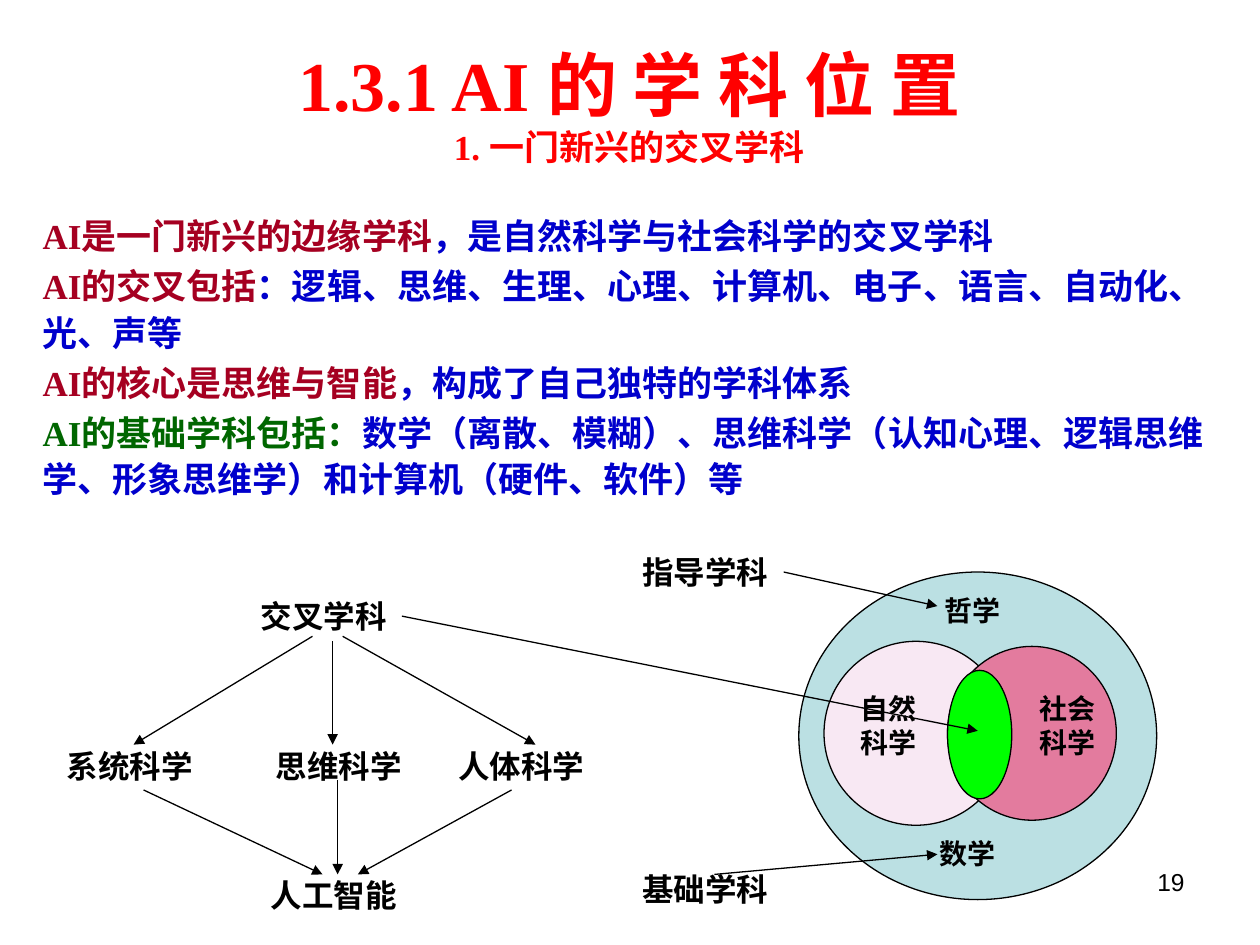
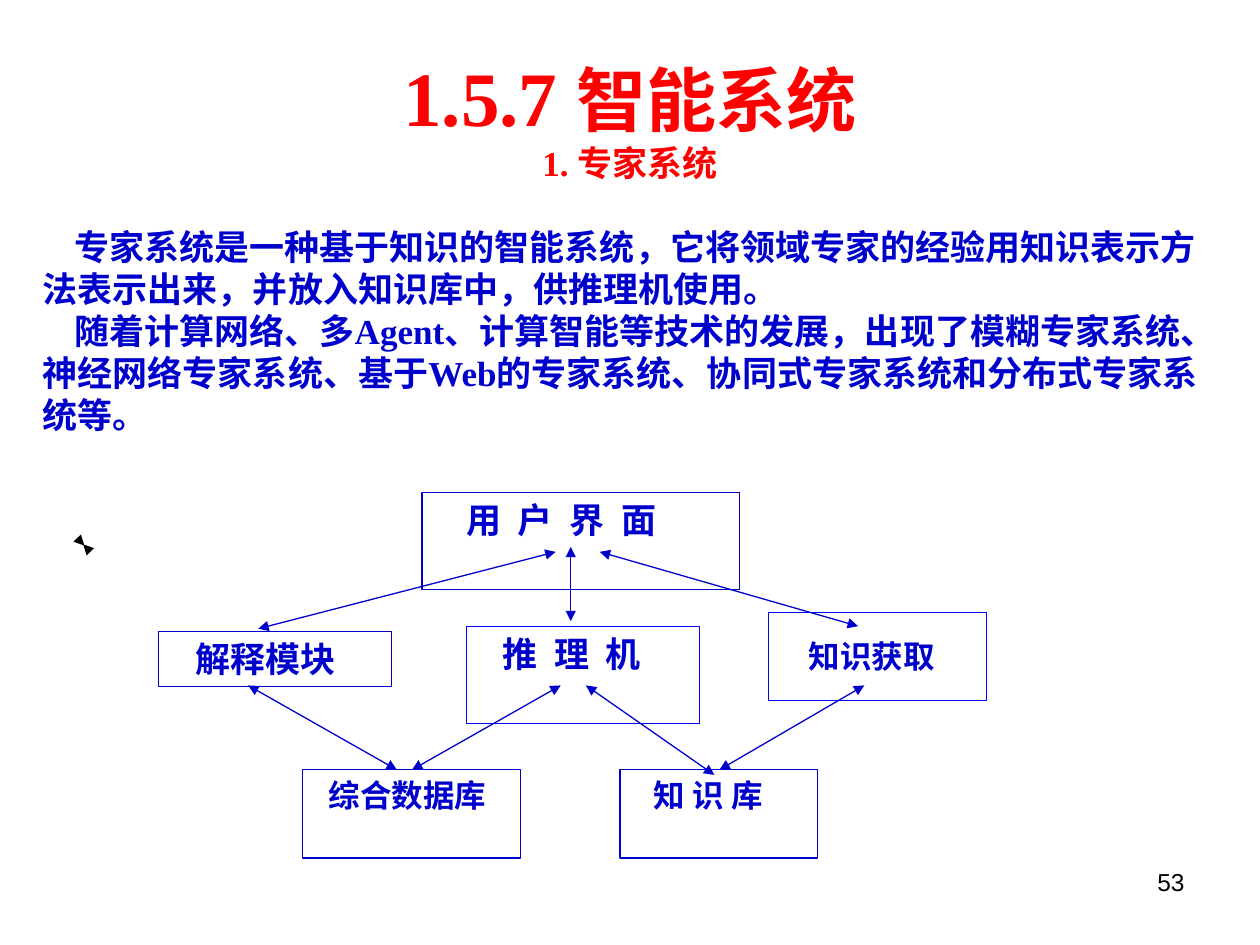
from typing import NamedTuple

from lxml.etree import SubElement
from pptx import Presentation
from pptx.dml.color import RGBColor
from pptx.enum.shapes import MSO_CONNECTOR, MSO_SHAPE
from pptx.enum.text import MSO_ANCHOR, PP_ALIGN
from pptx.oxml.ns import qn
from pptx.util import Inches, Pt

BLACK, WHITE, RED = "000000", "FFFFFF", "FF0000"
NAVY, BLUE, CRIMSON, GREEN = "0000CC", "0000FF", "A50021", "006600"
SERIF, SANS = "Times New Roman", "Arial"
LINE_WIDTH = Pt(0.75)


class Span(NamedTuple):
    """Text that has its own colour or size within a paragraph."""
    text: str
    color: str = NAVY
    size: float | None = None


class Box(NamedTuple):
    left: float
    top: float
    width: float
    height: float


class Label(NamedTuple):
    text: str
    box: Box
    size: float = 18
    inset: tuple[float, float] = (0.1, 0.05)


class Disc(NamedTuple):
    box: Box
    fill: str


class Module(NamedTuple):
    text: str
    box: Box
    indent: float
    size: float = 20
    spacing: float = 0
    line: str = NAVY
    anchor: MSO_ANCHOR = MSO_ANCHOR.TOP


class Arrow(NamedTuple):
    x1: float
    y1: float
    x2: float
    y2: float
    color: str = NAVY


def rgb(value: str) -> RGBColor:
    return RGBColor.from_string(value)


def place(box: Box) -> list[int]:
    return [Inches(v) for v in box]


def style(font, name: str, size: float, color: str | None = None, bold: bool = True) -> None:
    font.name, font.size, font.bold = name, Pt(size), bold
    if color:
        font.color.rgb = rgb(color)


def set_frame(tf, inset: tuple[float, float] = (0.1, 0.05), anchor=MSO_ANCHOR.TOP) -> None:
    tf.word_wrap = True
    tf.vertical_anchor = anchor
    tf.margin_left = tf.margin_right = Inches(inset[0])
    tf.margin_top = tf.margin_bottom = Inches(inset[1])


def add_text_frame(s, box: Box, inset=(0.1, 0.05), anchor=MSO_ANCHOR.TOP):
    tf = s.shapes.add_textbox(*place(box)).text_frame
    set_frame(tf, inset, anchor)
    return tf


def add_spans(p, spans: list[Span]) -> None:
    for span in spans:
        r = p.add_run()
        r.text = span.text
        r.font.color.rgb = rgb(span.color)
        if span.size:
            r.font.size = Pt(span.size)


def add_label(s, label: Label) -> None:
    p = add_text_frame(s, label.box, label.inset).paragraphs[0]
    p.text = label.text
    style(p.font, SANS, label.size, BLACK)


def add_title(s, box: Box, heading: list[Span], subtitle: str) -> None:
    p = add_text_frame(s, box, anchor=MSO_ANCHOR.MIDDLE).paragraphs[0]
    p.alignment = PP_ALIGN.CENTER
    style(p.font, SERIF, 20)
    add_spans(p, heading)
    p.add_line_break()
    add_spans(p, [Span(subtitle, RED, 20)])


def add_page_number(s, number: int) -> None:
    p = add_text_frame(s, Box(7.17, 6.83, 2.33, 0.52)).paragraphs[0]
    p.text = str(number)
    p.alignment = PP_ALIGN.RIGHT
    style(p.font, SANS, 14, BLACK, bold=False)


def add_body(s, box: Box, paragraphs: list[list[Span]], first_indent: float = 0,
             line_spacing: float = 1, gap: float = 0) -> None:
    tf = add_text_frame(s, box)
    for i, spans in enumerate(paragraphs):
        p = tf.add_paragraph() if i else tf.paragraphs[0]
        if first_indent:
            p._p.get_or_add_pPr().set("indent", str(Inches(first_indent)))
        p.line_spacing = line_spacing
        p.space_before = Pt(gap if i else 0)
        p.space_after = Pt(gap)
        style(p.font, SERIF, 20)
        add_spans(p, spans)


def add_outlined(s, kind: MSO_SHAPE, box: Box, fill: str, line: str):
    sp = s.shapes.add_shape(kind, *place(box))
    sp.shadow.inherit = False
    sp.fill.solid()
    sp.fill.fore_color.rgb = rgb(fill)
    sp.line.color.rgb = rgb(line)
    sp.line.width = LINE_WIDTH
    return sp


def add_module(s, module: Module) -> None:
    sp = add_outlined(s, MSO_SHAPE.RECTANGLE, module.box, WHITE, module.line)
    tf = sp.text_frame
    set_frame(tf, anchor=module.anchor)
    p = tf.paragraphs[0]
    p.alignment = PP_ALIGN.LEFT
    p._p.get_or_add_pPr().set("marL", str(Inches(module.indent)))
    r = p.add_run()
    r.text = module.text
    style(p.font, SERIF, module.size, module.color if hasattr(module, "color") else NAVY)
    if module.spacing:
        r._r.get_or_add_rPr().set("spc", str(int(module.spacing * 100)))


def add_arrow(s, arrow: Arrow, both_ends: bool = False) -> None:
    ends = [Inches(v) for v in arrow[:4]]
    cxn = s.shapes.add_connector(MSO_CONNECTOR.STRAIGHT, *ends)
    cxn.line.color.rgb = rgb(arrow.color)
    cxn.line.width = LINE_WIDTH
    ln = cxn.line._get_or_add_ln()
    for end in ("a:headEnd", "a:tailEnd") if both_ends else ("a:tailEnd",):
        SubElement(ln, qn(end), type="triangle")
    SubElement(cxn._element.spPr, qn("a:effectLst"))


def build_discipline_slide(prs) -> None:
    s = prs.slides.add_slide(prs.slide_layouts[6])
    add_page_number(s, 19)
    add_title(s, Box(0.31, 0.32, 9.37, 1.02),
              [Span("1.3.1 AI 的 学 科 位 置", RED, 40)], "1. 一门新兴的交叉学科")

    discs = [
        Disc(Box(6.34, 4.54, 2.84, 2.6), "BBE0E3"),
        Disc(Box(6.54, 5.09, 1.46, 1.46), "F8E8F3"),
        Disc(Box(7.52, 5.13, 1.34, 1.38), "E37B9E"),
        Disc(Box(7.52, 5.32, 0.51, 1.02), "00FF00"),
    ]
    for disc in discs:
        add_outlined(s, MSO_SHAPE.OVAL, disc.box, disc.fill, BLACK)

    tight = (0.02, 0.01)
    labels = [
        Label("自然科学", Box(6.81, 5.48, 0.55, 0.56), 16, tight),
        Label("社会科学", Box(8.23, 5.48, 0.55, 0.56), 16, tight),
        Label("哲学", Box(7.4, 4.66, 0.79, 0.37), 16),
        Label("数学", Box(7.36, 6.59, 0.71, 0.37), 16),
        Label("交叉学科", Box(1.97, 4.69, 1.3, 0.4)),
        Label("系统科学", Box(0.43, 5.88, 1.22, 0.4)),
        Label("思维科学", Box(2.09, 5.88, 1.3, 0.4)),
        Label("人体科学", Box(3.54, 5.88, 1.3, 0.4)),
        Label("人工智能", Box(2.05, 6.9, 1.26, 0.4)),
        Label("基础学科", Box(5, 6.86, 1.26, 0.4)),
        Label("指导学科", Box(5, 4.34, 1.22, 0.4)),
    ]
    for label in labels:
        add_label(s, label)

    arrows = [
        (2.48, 5.05, 1.06, 5.91), (2.64, 5.09, 2.64, 5.91), (2.72, 5.05, 4.25, 5.91),
        (1.14, 6.27, 2.56, 6.94), (2.68, 6.19, 2.68, 6.94), (4.06, 6.27, 2.84, 6.94),
        (3.19, 4.89, 7.76, 5.8), (6.22, 4.54, 7.44, 4.81), (5.67, 6.94, 7.44, 6.78),
    ]
    for ends in arrows:
        add_arrow(s, Arrow(*ends, color=BLACK))

    add_body(s, Box(0.24, 1.62, 9.57, 2.41), [
        [Span("AI是一门新兴的边缘学科", CRIMSON), Span("，是自然科学与社会科学的交叉学科")],
        [Span("AI的交叉包括", CRIMSON),
         Span("：逻辑、思维、生理、心理、计算机、电子、语言、自动化、光、声等")],
        [Span("AI的核心是思维与智能", CRIMSON), Span("，构成了自己独特的学科体系")],
        [Span("AI的基础学科包括：", GREEN),
         Span("数学（离散、模糊）、思维科学（认知心理、逻辑思维学、形象思维学）"
              "和计算机（硬件、软件）等")],
    ], line_spacing=1.1, gap=1.2)


def build_expert_system_slide(prs) -> None:
    s = prs.slides.add_slide(prs.slide_layouts[6])
    add_page_number(s, 53)
    add_title(s, Box(0.5, 0.3, 9, 1.25),
              [Span("1.5.7 ", RED, 44), Span("智能系统", RED, 40)], "1. 专家系统")

    modules = [
        Module("用 户 界 面", Box(3.35, 3.91, 2.52, 0.77), 0.25, spacing=2.5),
        Module("解释模块", Box(1.26, 5.01, 1.85, 0.44), 0.19),
        Module("推 理 机", Box(3.7, 4.97, 1.85, 0.77), 0.19, spacing=2.5, line=BLUE),
        Module("知识获取", Box(6.1, 4.86, 1.73, 0.7), 0.22, 18, line=BLUE,
               anchor=MSO_ANCHOR.MIDDLE),
        Module("综合数据库", Box(2.4, 6.11, 1.73, 0.7), 0.11, 18),
        Module("知 识 库", Box(4.92, 6.11, 1.57, 0.7), 0.17, 18),
    ]
    for module in modules:
        add_module(s, module)

    arrows = [
        Arrow(0.66, 4.32, 0.67, 4.33, BLACK),
        Arrow(4.41, 4.38, 2.05, 4.99),
        Arrow(4.53, 4.34, 4.53, 4.93),
        Arrow(4.76, 4.38, 6.81, 4.97),
        Arrow(1.97, 5.44, 3.15, 6.11),
        Arrow(4.45, 5.44, 3.27, 6.11),
        Arrow(4.65, 5.44, 5.67, 6.15),
        Arrow(6.86, 5.44, 5.71, 6.11),
    ]
    for arrow in arrows:
        add_arrow(s, arrow, both_ends=True)

    add_body(s, Box(0.24, 1.74, 9.49, 1.77), [
        [Span("专家系统是一种基于知识的智能系统，它将领域专家的经验用知识表示方法表示出来，"
              "并放入知识库中，供推理机使用。")],
        [Span("随着计算网络、多Agent、计算智能等技术的发展，出现了模糊专家系统、"
              "神经网络专家系统、基于Web的专家系统、协同式专家系统和分布式专家系统等。")],
    ], first_indent=0.25)


def main() -> None:
    prs = Presentation()
    prs.slide_width, prs.slide_height = Inches(10), Inches(7.5)
    build_discipline_slide(prs)
    build_expert_system_slide(prs)
    prs.save("out.pptx")


if __name__ == "__main__":
    main()
